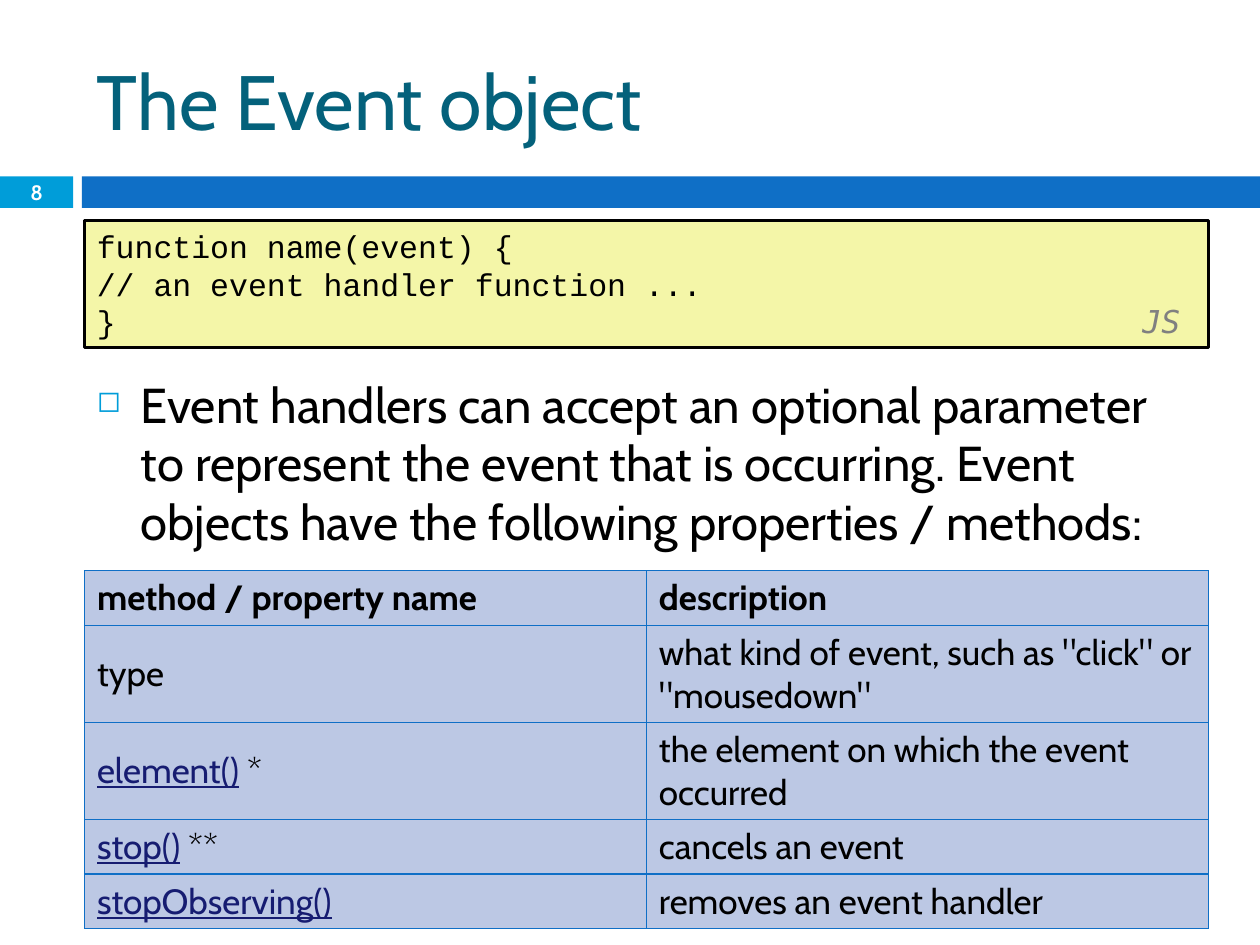
from lxml.etree import SubElement
from pptx import Presentation
from pptx.dml.color import RGBColor
from pptx.enum.shapes import MSO_SHAPE as Shape
from pptx.enum.text import MSO_ANCHOR as Anchor, PP_ALIGN as Align
from pptx.oxml.ns import qn
from pptx.util import Inches, Pt

BLACK = RGBColor(0, 0, 0)
WHITE = RGBColor(0xFF, 0xFF, 0xFF)
TEAL = RGBColor(0x04, 0x61, 0x7B)
CYAN = RGBColor(0x00, 0x9D, 0xD9)
BLUE = RGBColor(0x0F, 0x6F, 0xC6)
YELLOW = RGBColor(0xF4, 0xF6, 0xA8)
GRAY = RGBColor(0x80, 0x80, 0x80)
NAVY = RGBColor(0x16, 0x1C, 0x71)
PALE_BLUE = RGBColor(0xBC, 0xC8, 0xE4)

LEFT, WIDTH = 0.67, 8.92
SHORT_ROW, TALL_ROW = 0.43, 0.77
CODE = ["function name(event) {", "// an event handler function ...", "}"]
BODY = ("Event handlers can accept an optional parameter to represent the event "
        "that is occurring. Event objects have the following properties / methods:")
HEADINGS = ["method / property name", "description"]
# linked name, plain text after it, description, row height
METHODS = [
    ("", "type", 'what kind of event, such as "click" or "mousedown"', TALL_ROW),
    ("element()", " *", "the element on which the event occurred", TALL_ROW),
    ("stop()", " **", "cancels an event", SHORT_ROW),
    ("stopObserving()", "", "removes an event handler", SHORT_ROW),
]


def add_span(para, text, size=20, font="Cabin", color=BLACK, bold=False,
             italic=False, underline=False):
    """Append formatted text to a paragraph."""
    span = para.add_run()
    span.text = text
    style = span.font
    style.size, style.name = Pt(size), font
    style.bold, style.italic, style.underline = bold, italic, underline
    style.color.rgb = color


def add_text_box(page, left, top, width, height, anchor=Anchor.TOP):
    """Add a wrapping text box and return its first paragraph."""
    box = page.shapes.add_textbox(*map(Inches, (left, top, width, height)))
    frame = box.text_frame
    frame.word_wrap = True
    frame.vertical_anchor = anchor
    return frame.paragraphs[0]


def add_rectangle(page, left, top, width, height, fill, line=None):
    """Add a flat rectangle, outlined only when a line colour is given."""
    box = page.shapes.add_shape(
        Shape.RECTANGLE, *map(Inches, (left, top, width, height)))
    box.shadow.inherit = False
    box.fill.solid()
    box.fill.fore_color.rgb = fill
    if line is None:
        box.line.fill.background()
    else:
        box.line.color.rgb = line
        box.line.width = Pt(1.5)
    return box


def set_bullet(para, char, color, percent, indent):
    """Give a paragraph a coloured bullet and a hanging indent."""
    props = para._p.get_or_add_pPr()
    props.set("marL", str(Inches(indent)))
    props.set("indent", str(-Inches(indent)))
    bullet_color = SubElement(props, qn("a:buClr"))
    SubElement(bullet_color, qn("a:srgbClr"), val=str(color))
    SubElement(props, qn("a:buSzPct"), val=str(percent * 1000))
    SubElement(props, qn("a:buChar"), char=char)


def set_right_tab(para, position):
    """Add a right-aligned tab stop to a paragraph."""
    tabs = SubElement(para._p.get_or_add_pPr(), qn("a:tabLst"))
    SubElement(tabs, qn("a:tab"), pos=str(Inches(position)), algn="r")


def add_code_box(page):
    """Add the code sample with its language label at the right."""
    box = add_rectangle(page, LEFT, 1.75, WIDTH, 1.01, YELLOW, BLACK)
    frame = box.text_frame
    frame.word_wrap = True
    frame.vertical_anchor = Anchor.TOP
    for index, line in enumerate(CODE):
        para = frame.add_paragraph() if index else frame.paragraphs[0]
        para.alignment = Align.LEFT
        add_span(para, line, size=18, font="Courier New")
    set_right_tab(para, 8.6)
    add_span(para, "\t", size=18, font="Courier New")
    add_span(para, "JS", size=18, font="DejaVu Sans Mono", color=GRAY, italic=True)


def style_cell(cell):
    """Fill and border a table cell and return its paragraph."""
    cell.vertical_anchor = Anchor.MIDDLE
    props = cell._tc.get_or_add_tcPr()
    for side in ("lnL", "lnR", "lnT", "lnB"):
        border = SubElement(props, qn(f"a:{side}"), w=str(Pt(0.79)))
        fill = SubElement(border, qn("a:solidFill"))
        SubElement(fill, qn("a:srgbClr"), val=str(BLUE))
    cell.fill.solid()
    cell.fill.fore_color.rgb = PALE_BLUE
    return cell.text_frame.paragraphs[0]


def add_method_table(page):
    """Add the table of event methods and properties."""
    heights = [SHORT_ROW] + [method[-1] for method in METHODS]
    table = page.shapes.add_table(
        len(heights), 2, Inches(LEFT), Inches(4.53),
        Inches(WIDTH), Inches(sum(heights))).table
    for row, height in zip(table.rows, heights):
        row.height = Inches(height)
    for column, heading in enumerate(HEADINGS):
        add_span(style_cell(table.cell(0, column)), heading, bold=True)
    for row, (link, plain, description, _) in enumerate(METHODS, 1):
        name = style_cell(table.cell(row, 0))
        if link:
            add_span(name, link, color=NAVY, underline=True)
        if plain:
            add_span(name, plain)
        add_span(style_cell(table.cell(row, 1)), description)


def main():
    """Build the slide and save it."""
    deck = Presentation()
    deck.slide_width, deck.slide_height = Inches(10), Inches(7.5)
    page = deck.slides.add_slide(deck.slide_layouts[6])

    add_rectangle(page, 0, 1.4, 0.58, 0.25, CYAN)
    add_rectangle(page, 0.65, 1.4, 9.35, 0.25, BLUE)
    title = add_text_box(page, LEFT, 0.25, WIDTH, 1.08, Anchor.MIDDLE)
    add_span(title, "The Event object", size=44, color=TEAL)

    body = add_text_box(page, LEFT, 2.92, WIDTH, 0.67)
    body.space_before = Pt(7)
    set_bullet(body, "\u25fb", CYAN, 60, 0.35)
    add_span(body, BODY, size=28)

    number = add_text_box(page, 0, 1.39, 0.58, 0.27, Anchor.MIDDLE)
    number.alignment = Align.CENTER
    add_span(number, "8", size=11.9, color=WHITE, bold=True)

    add_code_box(page)
    add_method_table(page)
    deck.save("out.pptx")


main()
